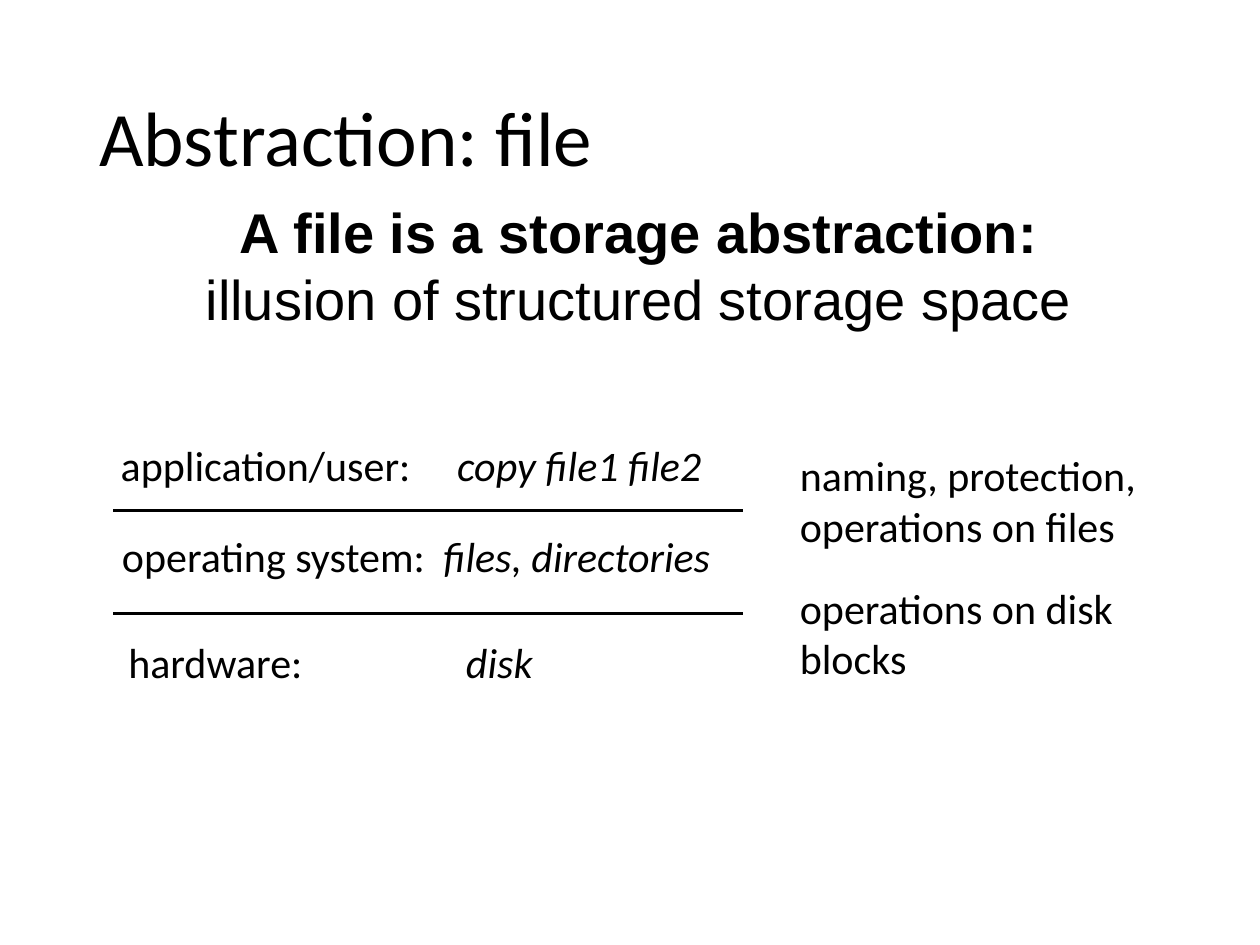
from lxml import etree
from pptx import Presentation
from pptx import util as u
from pptx.dml import color
from pptx.enum import shapes, text
from pptx.oxml import ns

BLACK = "000000"


def rgb(value):
    return color.RGBColor.from_string(value)


def add_text_box(slide, left, top, width, height, anchor=text.MSO_ANCHOR.TOP):
    box = slide.shapes.add_textbox(*map(u.Inches, (left, top, width, height)))
    frame = box.text_frame
    frame.word_wrap = True
    frame.vertical_anchor = anchor
    return frame


def style_paragraph(paragraph, size, name="Calibri", bold=False):
    font = paragraph.font
    font.size = u.Pt(size)
    font.name = name
    font.bold = bold
    font.color.rgb = rgb(BLACK)


def add_lines(frame, lines, size):
    """Write one plain paragraph per line and return the paragraphs."""
    for index, line in enumerate(lines):
        paragraph = frame.add_paragraph() if index else frame.paragraphs[0]
        paragraph.add_run().text = line
        style_paragraph(paragraph, size)
    return frame.paragraphs


def add_title(slide, left, top, width, height):
    frame = add_text_box(slide, left, top, width, height, text.MSO_ANCHOR.MIDDLE)
    paragraph, = add_lines(frame, ["Abstraction: file"], 44)
    paragraph.line_spacing = 0.9


def add_definition(slide, left, top, width, height):
    frame = add_text_box(slide, left, top, width, height)
    lines = ["A file is a storage abstraction:", "illusion of structured storage space"]
    for index, paragraph in enumerate(add_lines(frame, lines, 32)):
        style_paragraph(paragraph, 32, "Arial", bold=index == 0)
        paragraph.alignment = text.PP_ALIGN.CENTER


def add_layer(slide, left, top, width, height, label, example, tab):
    """Layer label, then its example in italics at a tab stop."""
    paragraph = add_text_box(slide, left, top, width, height).paragraphs[0]
    properties = paragraph._p.get_or_add_pPr()
    tabs = etree.SubElement(properties, ns.qn("a:tabLst"))
    etree.SubElement(tabs, ns.qn("a:tab"), pos=str(u.Inches(tab)), algn="l")
    style_paragraph(paragraph, 24)
    paragraph.add_run().text = label + "\t"
    run = paragraph.add_run()
    run.text = example
    run.font.italic = True


def add_divider(slide, left, top, width):
    line = slide.shapes.add_connector(
        shapes.MSO_CONNECTOR.STRAIGHT,
        u.Inches(left), u.Inches(top), u.Inches(left + width), u.Inches(top))
    line.line.color.rgb = rgb(BLACK)
    line.line.width = u.Pt(2)
    etree.SubElement(line._element.spPr, ns.qn("a:effectLst"))


def add_layer_stack(slide, left, top, width):
    # Dividers between the layers
    for offset in (0.61, 1.43):
        add_divider(slide, left, top + offset, width)
    # Layers: horizontal shift, vertical offset, label, example, tab stop
    layers = [
        (-0.04, 0, "application/user:", "copy file1 file2", 2.67),
        (-0.03, 0.72, "operating system:", "files, directories", 2.55),
        (0.02, 1.56, "hardware:", "disk", 2.68),
    ]
    for shift, offset, label, example, tab in layers:
        add_layer(slide, left + shift, top + offset, width + 0.1, 0.5,
                  label, example, tab)


def add_boundary_notes(slide, left, top, width):
    notes = [["naming, protection,", "operations on files"],
             ["operations on disk", "blocks"]]
    for index, lines in enumerate(notes):
        frame = add_text_box(slide, left, top + index * 1.05, width, 0.91)
        add_lines(frame, lines, 24)


def main():
    presentation = Presentation()
    presentation.slide_width = u.Inches(10)
    presentation.slide_height = u.Inches(7.5)
    slide = presentation.slides.add_slide(presentation.slide_layouts[6])
    add_title(slide, 0.69, 0.4, 8.62, 1.45)
    add_definition(slide, 0.5, 1.52, 9.14, 4.88)
    add_layer_stack(slide, 0.9, 3.44, 5)
    add_boundary_notes(slide, 6.25, 3.52, 3.33)
    presentation.save("out.pptx")


if __name__ == "__main__":
    main()
